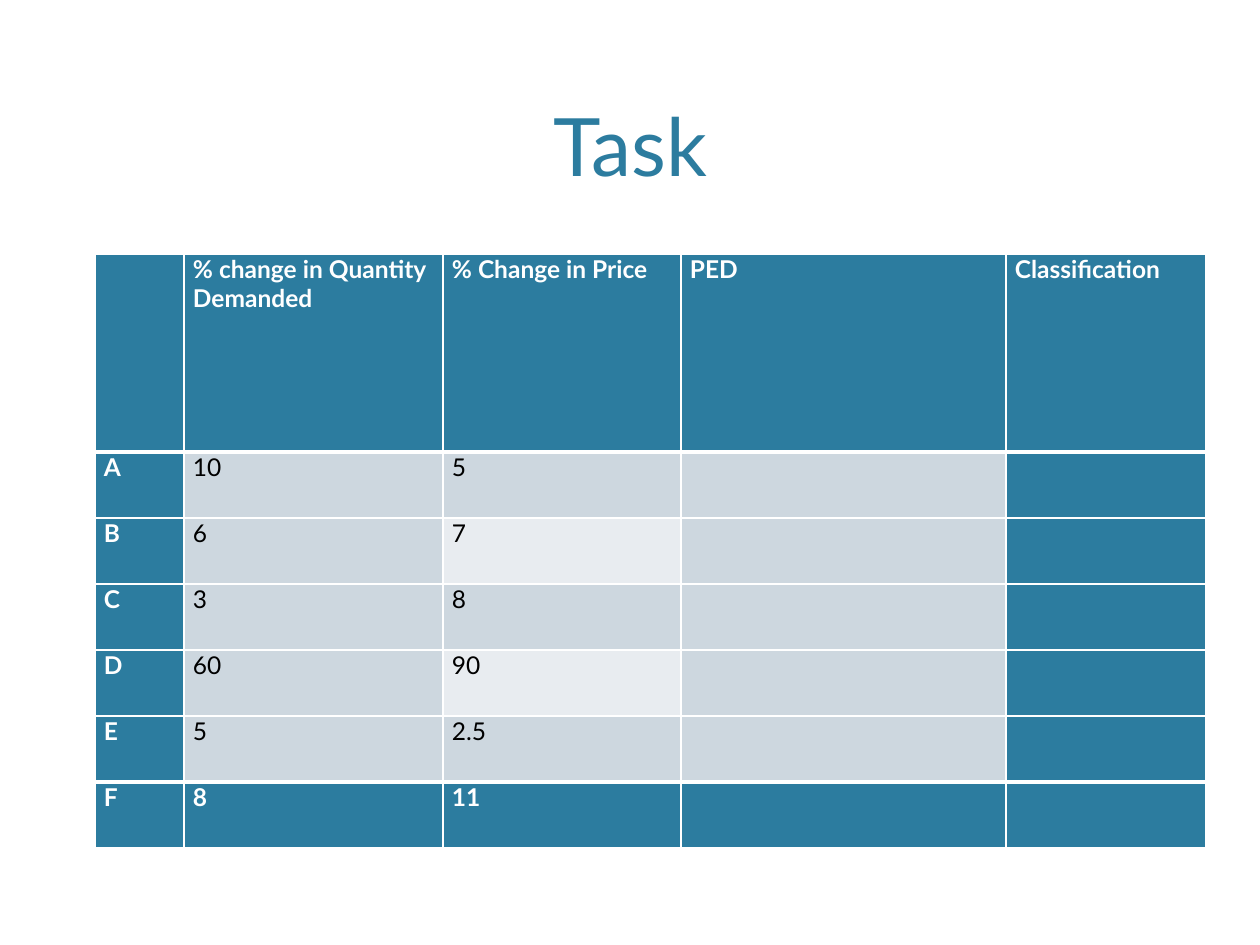
import pptx
import pptx.util
import pptx.dml.color
import pptx.enum.text
import pptx.oxml
import pptx.oxml.ns

SCALE = 914400 // 126  # EMU in one px
BLUE, GREY, PALE, WHITE, BLACK = "2C7C9F", "CDD7DF", "E8ECF0", "FFFFFF", "000000"


def color(value):
    return pptx.dml.color.RGBColor.from_string(value)


def write(frame, text, size, ink, bold=False):
    span = frame.paragraphs[0].add_run()
    span.text = text
    span.font.color.rgb = color(ink)
    formats = {"name": "Lato", "size": pptx.util.Pt(size), "bold": bold}
    for name, value in formats.items():
        setattr(span.font, name, value)


deck = pptx.Presentation()
deck.slide_width = pptx.util.Inches(10)
deck.slide_height = pptx.util.Inches(7.5)
page = deck.slides.add_slide(deck.slide_layouts[5])

# Title
title = page.shapes.title
for name, value in {"left": 76, "top": 15, "width": 1109, "height": 184}.items():
    setattr(title, name, value * SCALE)
title.text_frame.vertical_anchor = pptx.enum.text.MSO_ANCHOR.BOTTOM
title.text_frame.paragraphs[0].alignment = pptx.enum.text.PP_ALIGN.CENTER
write(title.text_frame, "Task", 46, BLUE)

# Table grid
rows = [
    ["", "% change in Quantity Demanded", "% Change in Price", "PED", "Classification"],
    ["A", "10", "5", "", ""],
    ["B", "6", "7", "", ""],
    ["C", "3", "8", "", ""],
    ["D", "60", "90", "", ""],
    ["E", "5", "2.5", "", ""],
    ["F", "8", "11", "", ""],
]
widths = [89, 259, 238, 325, 200]
heights = [198] + [66] * 6
last_row, last_column = len(rows) - 1, len(widths) - 1
table = page.shapes.add_table(
    len(rows), len(widths), 95 * SCALE, 254 * SCALE,
    sum(widths) * SCALE, sum(heights) * SCALE).table
for column, width in zip(table.columns, widths):
    column.width = width * SCALE
for row, height in zip(table.rows, heights):
    row.height = height * SCALE

# Cells: blue frame around the grey body, thick rules beside header and total
for r, texts in enumerate(rows):
    for c, text in enumerate(texts):
        cell = table.cell(r, c)
        framed = r in (0, last_row) or c in (0, last_column)
        banded = c == 2 and r % 2 == 0
        if text:
            for side in ("left", "right"):
                setattr(cell, f"margin_{side}", 9 * SCALE)
            cell.margin_top = cell.margin_bottom = 0
            write(cell.text_frame, text, 14, WHITE if framed else BLACK, framed)

        # Borders come before the fill in the cell properties
        thick_top = r in (1, last_row)
        thick_bottom = r in (0, last_row - 1)
        borders = {"L": 1, "R": 1, "T": 3 if thick_top else 1, "B": 3 if thick_bottom else 1}
        properties = cell._tc.get_or_add_tcPr()
        for side, points in borders.items():
            properties.append(pptx.oxml.parse_xml(
                f'<a:ln{side} {pptx.oxml.ns.nsdecls("a")} w="{points * 12700}">'
                f'<a:solidFill><a:srgbClr val="{WHITE}"/></a:solidFill></a:ln{side}>'))
        cell.fill.solid()
        cell.fill.fore_color.rgb = color(BLUE if framed else PALE if banded else GREY)

deck.save("out.pptx")
